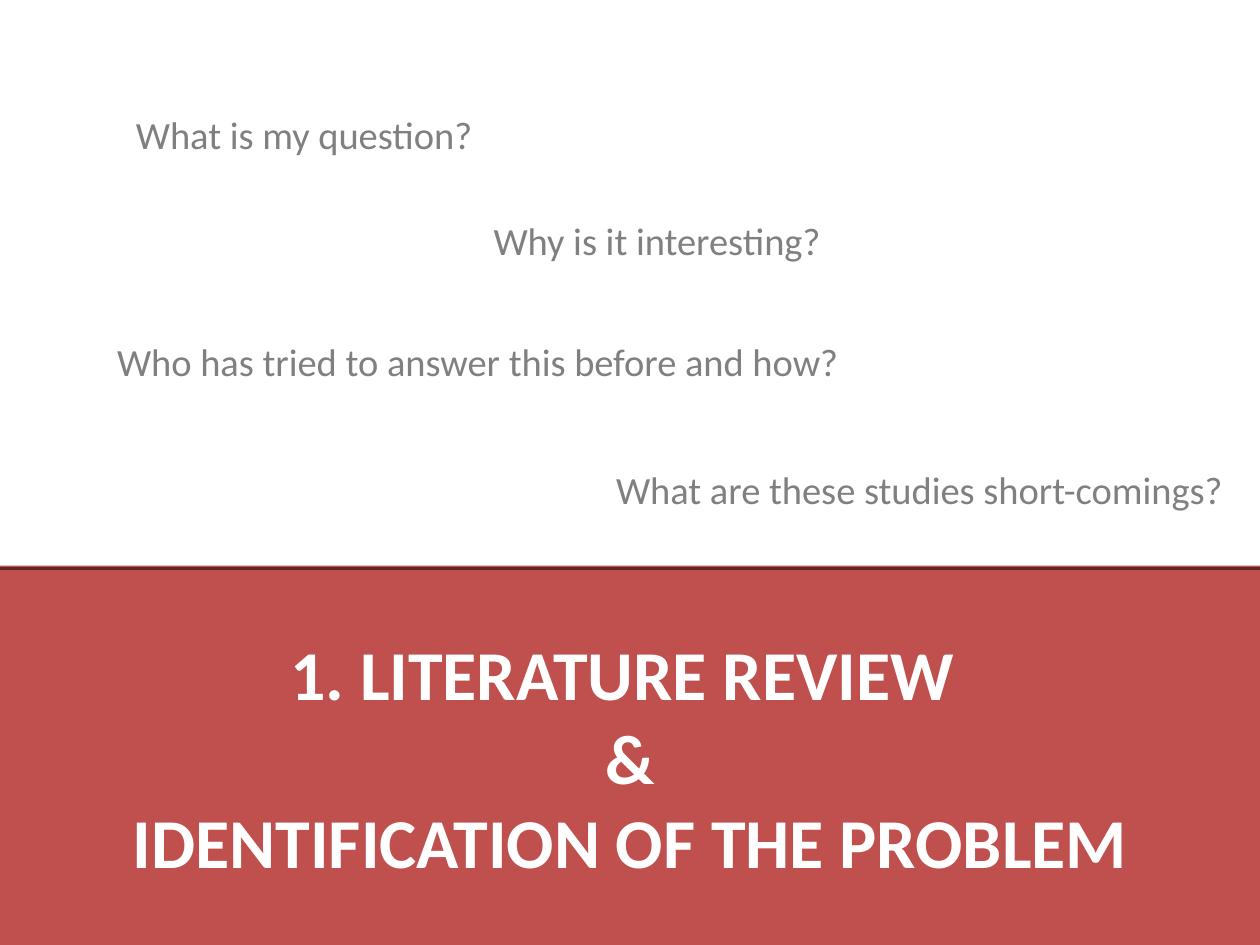
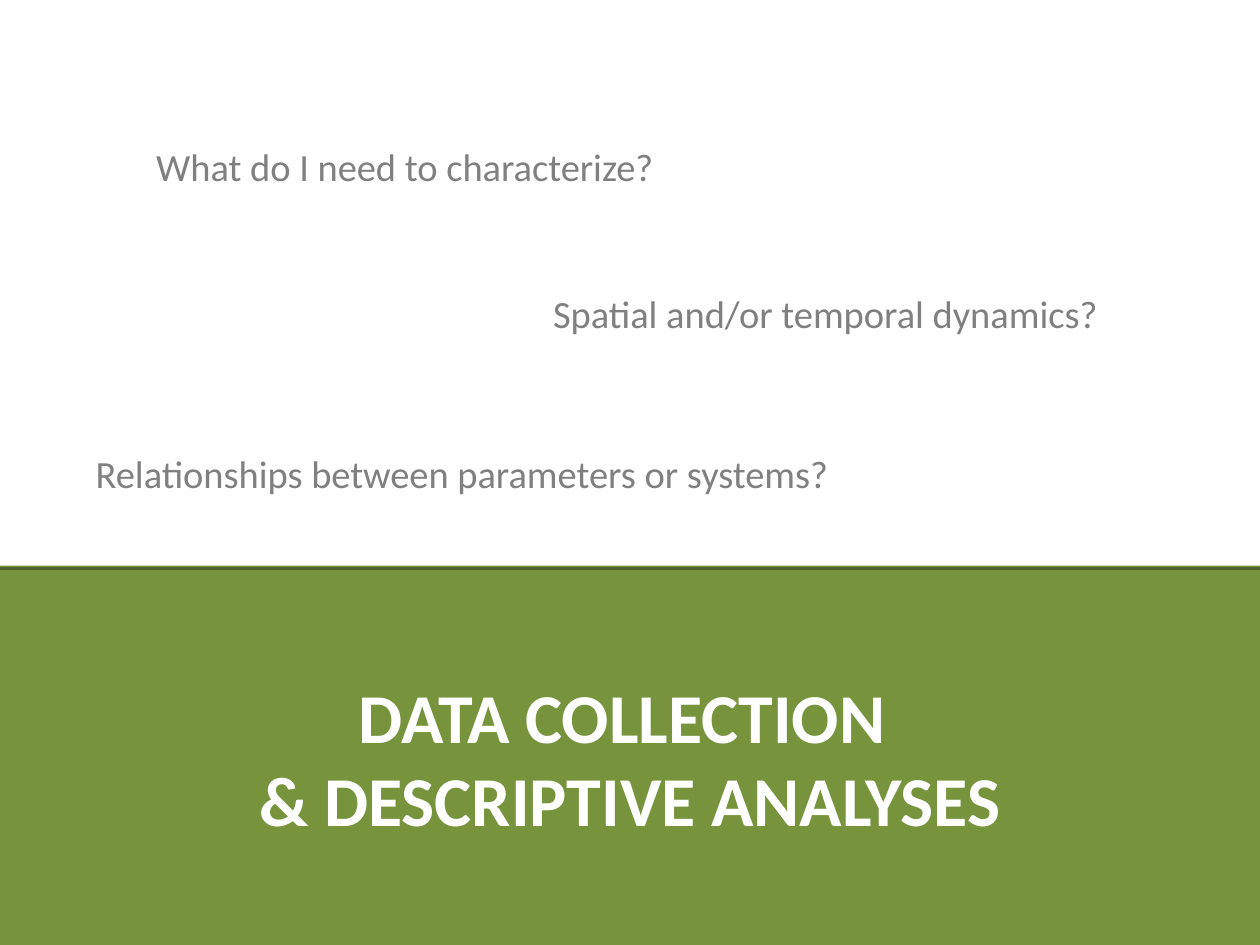
from lxml.etree import SubElement
from pptx import Presentation
from pptx.dml.color import RGBColor
from pptx.enum.shapes import MSO_CONNECTOR
from pptx.enum.text import MSO_ANCHOR, MSO_AUTO_SIZE, PP_ALIGN
from pptx.oxml.ns import qn
from pptx.util import Cm, Pt

SECTIONS = [
    {
        "title": ["1. LITERATURE REVIEW ", "&", "IDENTIFICATION OF THE PROBLEM"],
        "band": "C0504D",
        "edge": "632523",
        "questions": [
            ("What is my question?", 2.49, 1.65, 9.83),
            ("Why is it interesting?", 9.7, 3.78, 10.52),
            ("Who has tried to answer this before and how?", 2.11, 6.22, 18.59),
            ("What are these studies short-comings?", 12.17, 8.81, 13.2),
        ],
    },
    {
        "title": ["DATA COLLECTION ", "& DESCRIPTIVE ANALYSES"],
        "band": "77933C",
        "edge": "4F6228",
        "questions": [
            ("What do I need to characterize?", 2.9, 2.29, 21.92),
            ("Spatial and/or temporal dynamics?", 10.9, 5.26, 12),
            ("Relationships between parameters or systems?", 1.68, 8.48, 16),
        ],
    },
]

FONT = "Calibri"
WHITE = "FFFFFF"
GREY = "808080"
SLIDE_WIDTH, SLIDE_HEIGHT = Cm(25.4), Cm(19.05)
BAND_TOP, BAND_HEIGHT = Cm(11.4), Cm(7.72)
EDGE_TOP = Cm(11.46)
QUESTION_HEIGHT = Cm(1.52)
TITLE_ONLY_LAYOUT = 5


def color(hex_string):
    return RGBColor.from_string(hex_string)


def write(paragraph, text, size, hex_color, bold=False, align=PP_ALIGN.LEFT, spacing=1.0):
    paragraph.text = text
    paragraph.alignment = align
    paragraph.line_spacing = spacing
    paragraph.font.name = FONT
    paragraph.font.size = Pt(size)
    paragraph.font.bold = bold
    paragraph.font.color.rgb = color(hex_color)


def add_title_band(slide, lines, fill):
    title = slide.shapes.title
    title.left, title.top = 0, BAND_TOP
    title.width, title.height = SLIDE_WIDTH, BAND_HEIGHT
    title.fill.solid()
    title.fill.fore_color.rgb = color(fill)
    frame = title.text_frame
    frame.word_wrap = True
    frame.auto_size = MSO_AUTO_SIZE.NONE
    frame.vertical_anchor = MSO_ANCHOR.MIDDLE
    for index, line in enumerate(lines):
        paragraph = frame.add_paragraph() if index else frame.paragraphs[0]
        write(paragraph, line, size=40, hex_color=WHITE, bold=True, align=PP_ALIGN.CENTER)


def add_band_edge(slide, hex_color):
    edge = slide.shapes.add_connector(
        MSO_CONNECTOR.STRAIGHT, 0, EDGE_TOP, SLIDE_WIDTH, EDGE_TOP
    )
    edge.line.color.rgb = color(hex_color)
    edge.line.width = Pt(2.25)
    SubElement(edge.element.spPr, qn("a:effectLst"))


def add_question(slide, text, left, top, width):
    box = slide.shapes.add_textbox(Cm(left), Cm(top), Cm(width), QUESTION_HEIGHT)
    frame = box.text_frame
    frame.word_wrap = True
    frame.auto_size = MSO_AUTO_SIZE.SHAPE_TO_FIT_TEXT
    write(frame.paragraphs[0], text, size=22, hex_color=GREY, spacing=1.5)


def main():
    presentation = Presentation()
    presentation.slide_width = SLIDE_WIDTH
    presentation.slide_height = SLIDE_HEIGHT
    for section in SECTIONS:
        slide = presentation.slides.add_slide(presentation.slide_layouts[TITLE_ONLY_LAYOUT])
        add_title_band(slide, section["title"], section["band"])
        add_band_edge(slide, section["edge"])
        for question in section["questions"]:
            add_question(slide, *question)
    presentation.save("out.pptx")


if __name__ == "__main__":
    main()
